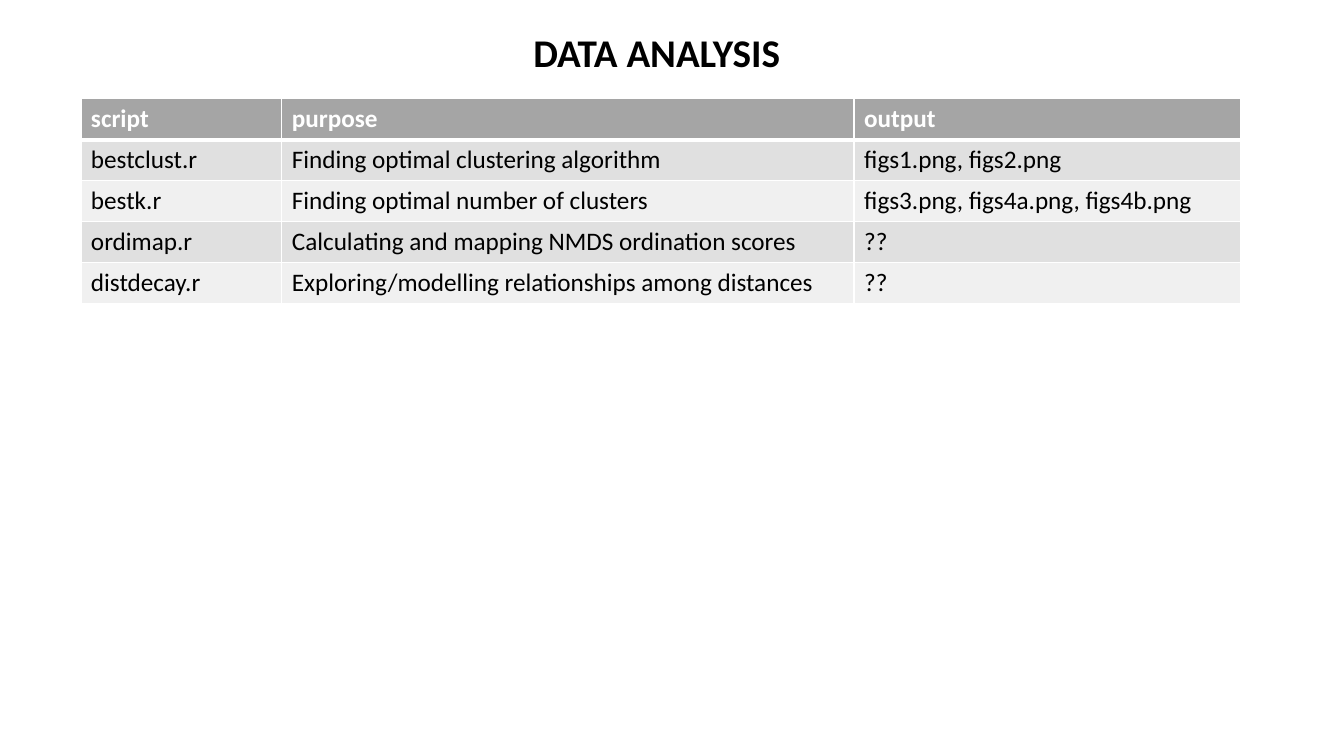
from lxml.etree import SubElement
from pptx import Presentation
from pptx.dml.color import RGBColor
from pptx.enum.text import MSO_ANCHOR, MSO_AUTO_SIZE, PP_ALIGN
from pptx.oxml.ns import qn
from pptx.util import Pt

TITLE = "DATA ANALYSIS"
ROWS = [
    ("script", "purpose", "output"),
    ("bestclust.r", "Finding optimal clustering algorithm", "figs1.png, figs2.png"),
    ("bestk.r", "Finding optimal number of clusters", "figs3.png, figs4a.png, figs4b.png"),
    ("ordimap.r", "Calculating and mapping NMDS ordination scores", "??"),
    ("distdecay.r", "Exploring/modelling relationships among distances", "??"),
]

FONT = "Calibri"
BLACK = RGBColor(0x00, 0x00, 0x00)
WHITE = RGBColor(0xFF, 0xFF, 0xFF)
HEADER_GREY = RGBColor(0xA5, 0xA5, 0xA5)
BAND_GREYS = (RGBColor(0xE0, 0xE0, 0xE0), RGBColor(0xF0, 0xF0, 0xF0))

TITLE_BOX = (373.7, 16.5, 190.8, 41)
TABLE_LEFT, TABLE_TOP = 57.8, 70.6
COLUMN_WIDTHS = (143.5, 408.8, 276.4)
ROW_HEIGHT = 29.2
THIN, THICK = 0.96, 3


def write(frame, text, size=18, color=BLACK, bold=False, align=PP_ALIGN.LEFT):
    para = frame.paragraphs[0]
    para.alignment = align
    span = para.add_run()
    span.text = text
    span.font.name = FONT
    span.font.size = Pt(size)
    span.font.bold = bold
    span.font.color.rgb = color


def add_borders(cell, top, bottom):
    """Draw white cell borders; call before the fill, which must follow them."""
    properties = cell._tc.get_or_add_tcPr()
    for side, width in (("L", THIN), ("R", THIN), ("T", top), ("B", bottom)):
        line = SubElement(properties, qn(f"a:ln{side}"), w=str(Pt(width)))
        fill = SubElement(line, qn("a:solidFill"))
        SubElement(fill, qn("a:srgbClr"), val=str(WHITE))


def add_title(page):
    title = page.shapes.title
    title.left, title.top, title.width, title.height = map(Pt, TITLE_BOX)
    frame = title.text_frame
    frame.word_wrap = False
    frame.auto_size = MSO_AUTO_SIZE.NONE
    frame.vertical_anchor = MSO_ANCHOR.MIDDLE
    write(frame, TITLE, size=28, bold=True, align=PP_ALIGN.CENTER)


def add_script_table(page):
    table = page.shapes.add_table(
        len(ROWS), len(COLUMN_WIDTHS), Pt(TABLE_LEFT), Pt(TABLE_TOP),
        Pt(sum(COLUMN_WIDTHS)), Pt(ROW_HEIGHT * len(ROWS))).table
    for column, width in zip(table.columns, COLUMN_WIDTHS):
        column.width = Pt(width)
    for r, texts in enumerate(ROWS):
        table.rows[r].height = Pt(ROW_HEIGHT)
        header = r == 0
        for c, text in enumerate(texts):
            cell = table.cell(r, c)
            add_borders(cell, top=THICK if r == 1 else THIN, bottom=THICK if header else THIN)
            cell.fill.solid()
            cell.fill.fore_color.rgb = HEADER_GREY if header else BAND_GREYS[(r - 1) % 2]
            write(cell.text_frame, text, color=WHITE if header else BLACK, bold=header)


def main():
    deck = Presentation()
    deck.slide_width, deck.slide_height = Pt(960), Pt(540)
    page = deck.slides.add_slide(deck.slide_layouts.get_by_name("Title Only"))
    add_title(page)
    add_script_table(page)
    deck.save("out.pptx")


if __name__ == "__main__":
    main()
